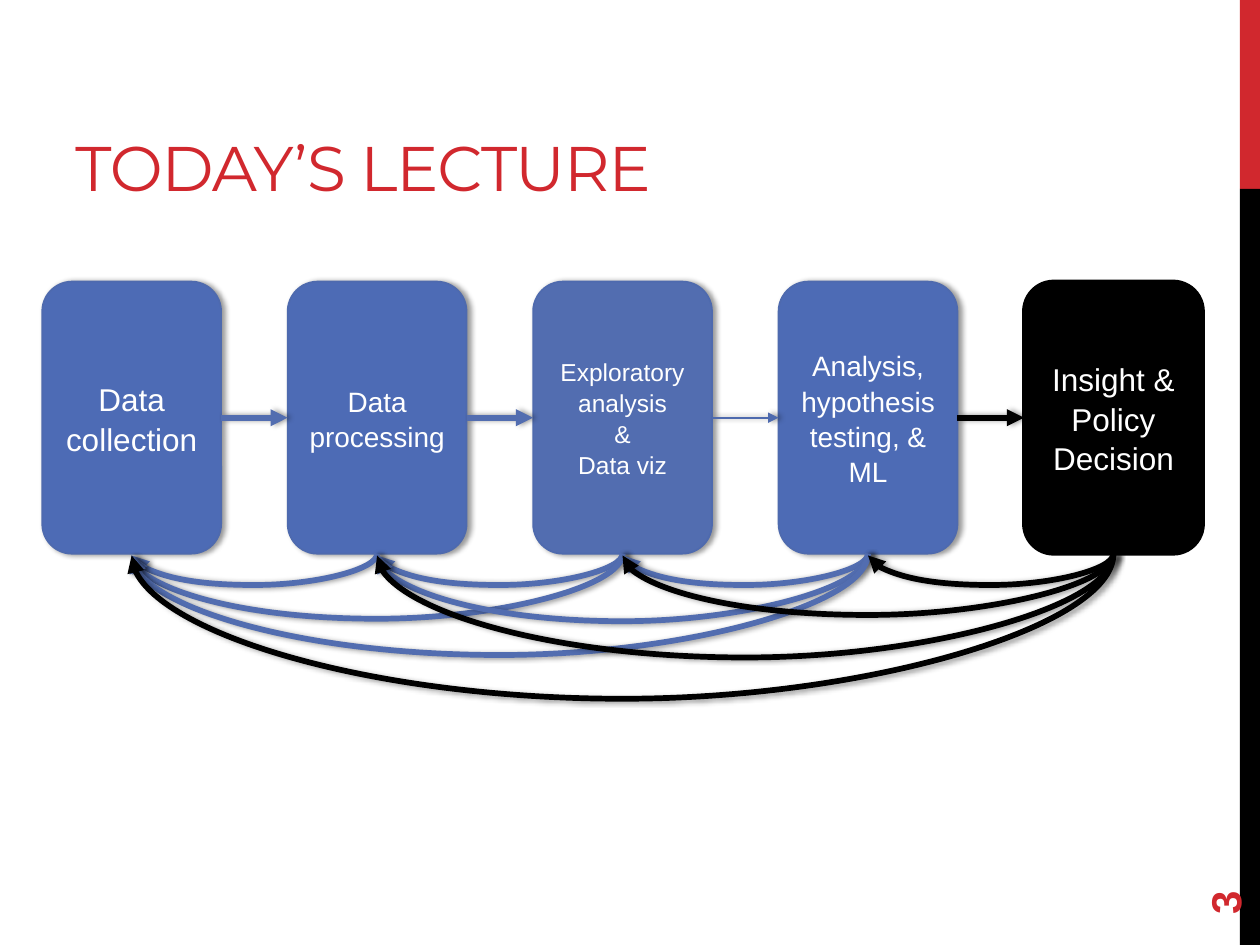
from pptx import Presentation, util as u
from pptx.dml.color import RGBColor
from pptx.enum import shapes, text
from pptx.oxml import parse_xml
from pptx.oxml.ns import nsdecls, qn

# Content: text, size, fill, outline colour, outline width
STEPS = [
    ("Data collection", 18, "blue", "edge", 1),
    ("Data processing", 16, "blue", "edge", 1),
    ("Exploratory analysis\n&\nData viz", 14, "link", "edge", 1),
    ("Analysis, hypothesis testing, & ML", 16, "blue", "edge", 1),
    ("Insight & Policy Decision", 18, "black", "black", 2.25),
]
# Arrow into each later step: colour, width
LINKS = [("link", 3.25), ("link", 3.25), ("edge", 1), ("black", 3.25)]
# Feedback arcs by source step: (target step, depth)
LOOPS = {
    1: [(0, 0.25)],
    2: [(1, 0.25), (0, 0.52)],
    3: [(2, 0.25), (1, 0.54), (0, 0.81)],
    4: [(3, 0.25), (2, 0.49), (1, 0.83), (0, 1.16)],
}
COLORS = {"red": "D1282E", "black": "000000", "white": "FFFFFF",
          "blue": "4D6BB5", "edge": "4E6AAE", "link": "526DB0"}

# Grid of steps
W, H = 10, 7.5
LEFT, TOP, PITCH = 0.335, 2.235, 1.948
BOX_W, BOX_H = 1.42, 2.16
BAR = 0.16
THIN = 1 / 72  # drop between the two ends of an arc

prs = Presentation()
prs.slide_width, prs.slide_height = u.Inches(W), u.Inches(H)
slide = prs.slides.add_slide(prs.slide_layouts[6])
draw = slide.shapes


def rgb(name):
    return RGBColor.from_string(COLORS[name])


def inches(*vals):
    return [u.Inches(v) for v in vals]


def shade(item):
    item._element.spPr.append(parse_xml(
        f'<a:effectLst {nsdecls("a")}>'
        '<a:outerShdw blurRad="40000" dist="23000" dir="0" rotWithShape="0">'
        '<a:srgbClr val="000000"><a:alpha val="40000"/></a:srgbClr>'
        '</a:outerShdw></a:effectLst>'))


def write(item, words, size, color, font="Arial", anchor="MIDDLE",
          align="LEFT", bold=False, space=None):
    frame = item.text_frame
    frame.word_wrap = True
    frame.vertical_anchor = getattr(text.MSO_ANCHOR, anchor)
    frame.text = words
    for par in frame.paragraphs:
        par.alignment = getattr(text.PP_ALIGN, align)
        par.line_spacing = space
        for run in par.runs:
            run.font.name, run.font.size = font, u.Pt(size)
            run.font.bold = bold
            run.font.color.rgb = rgb(color)
    return frame


def block(kind, x, y, w, h, fill):
    item = draw.add_shape(kind, *inches(x, y, w, h))
    item.shadow.inherit = False
    item.fill.solid()
    item.fill.fore_color.rgb = rgb(fill)
    item.line.fill.background()
    return item


def arrow(kind, x1, y1, x2, y2, color, width):
    item = draw.add_connector(kind, *inches(x1, y1, x2, y2))
    item.line.color.rgb = rgb(color)
    item.line.width = u.Pt(width)
    item.line._get_or_add_ln().append(
        parse_xml(f'<a:tailEnd {nsdecls("a")} type="triangle"/>'))
    shade(item)
    return item


def arc(start, end, depth, color):
    # A tall thin curve, turned a quarter so that it hangs below the boxes
    span = (start - end) * PITCH
    mid = LEFT + BOX_W / 2 + (start + end) / 2 * PITCH
    base = TOP + BOX_H + THIN / 2
    item = arrow(shapes.MSO_CONNECTOR.CURVE, mid - THIN / 2, base - span / 2,
                 mid + THIN / 2, base + span / 2, color, 3.25)
    props = item._element.spPr
    props.find(qn("a:xfrm")).set("rot", "5400000")
    geom = props.find(qn("a:prstGeom"))
    for old in geom.findall(qn("a:avLst")):
        geom.remove(old)
    geom.append(parse_xml(
        f'<a:avLst {nsdecls("a")}><a:gd name="adj1" '
        f'fmla="val {round(depth / THIN * 100000)}"/></a:avLst>'))


# Side bar
RECT = shapes.MSO_SHAPE.RECTANGLE
block(RECT, W - BAR, 0, BAR, H / 5, "red")
block(RECT, W - BAR, H / 5, BAR, H * 4 / 5, "black")

# Title
title = draw.add_textbox(*inches(0.5, 0.17, 6.33, 1.5))
frame = write(title, "TODAY’S LECTURE", 36, "red", "Montserrat", "BOTTOM")
frame.paragraphs[0].runs[0].font._element.set("spc", "-60")

# Steps, each with its arrow in and its arcs back
for i, (words, size, fill, edge, width) in enumerate(STEPS):
    x = LEFT + i * PITCH
    box = block(shapes.MSO_SHAPE.ROUNDED_RECTANGLE, x, TOP, BOX_W, BOX_H, fill)
    box.line.color.rgb = rgb(edge)
    box.line.width = u.Pt(width)
    write(box, words, size, "white", align="CENTER", space=1.05)
    if fill != "black":
        props = box._element.spPr
        props.remove(props.find(qn("a:effectLst")))
        shade(box)
    if i:
        y = TOP + BOX_H / 2
        arrow(shapes.MSO_CONNECTOR.STRAIGHT, x - PITCH + BOX_W, y, x, y,
              *LINKS[i - 1])
    for end, depth in LOOPS.get(i, []):
        arc(i, end, depth, "black" if fill == "black" else "link")

# Page number
page = draw.add_textbox(*inches(9, 6.44, 1.44, 0.4))
page.rotation = 270
write(page, "3", 24, "red", bold=True)

prs.save("out.pptx")
